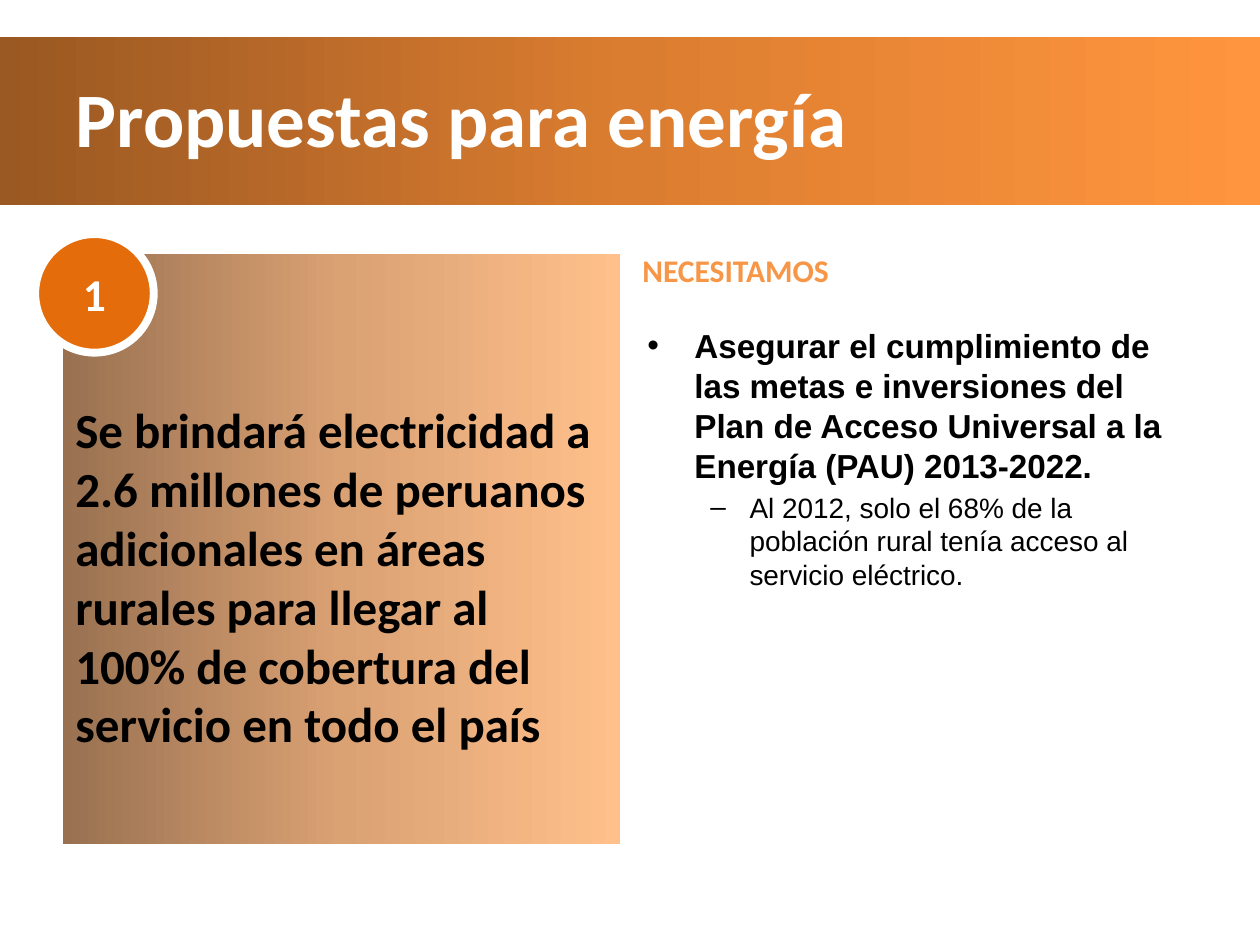
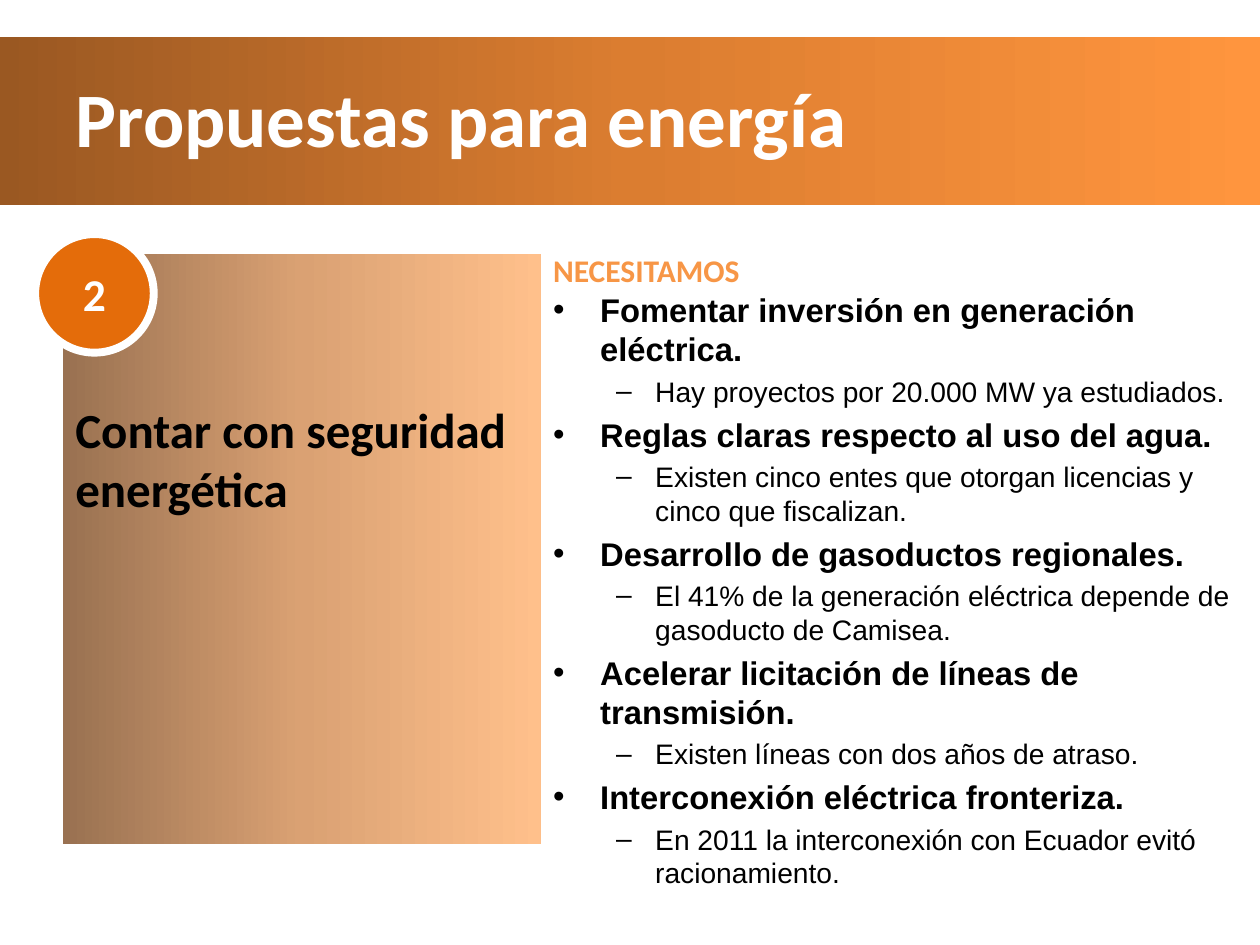
from copy import deepcopy
from lxml.etree import SubElement
from pptx import Presentation
from pptx.dml.color import RGBColor
from pptx.enum.shapes import MSO_SHAPE
from pptx.enum.text import MSO_ANCHOR, PP_ALIGN
from pptx.oxml.ns import qn
from pptx.util import Cm, Pt

TITLE = "Propuestas para energía"
LABEL = "NECESITAMOS"
SLIDES = [
    {
        "goal": "Se brindará electricidad a 2.6 millones de peruanos adicionales en áreas "
                "rurales para llegar al 100% de cobertura del servicio en todo el país",
        "panel_width": 11.23, "label_left": 12.7,
        "needs_box": (12.8, 6.43, 11.51, 9.88), "sizes": (19, 16),
        "needs": [
            ("Asegurar el cumplimiento de las metas e inversiones del Plan de Acceso "
             "Universal a la Energía (PAU) 2013-2022.",
             "Al 2012, solo el 68% de la población rural tenía acceso al servicio eléctrico."),
        ],
    },
    {
        "goal": "Contar con seguridad energética",
        "panel_width": 9.63, "label_left": 10.9,
        "needs_box": (10.9, 5.72, 14.5, 11.81), "sizes": (18.7, 16.1),
        "needs": [
            ("Fomentar inversión en generación eléctrica.",
             "Hay proyectos por 20.000 MW ya estudiados."),
            ("Reglas claras respecto al uso del agua.",
             "Existen cinco entes que otorgan licencias y cinco que fiscalizan."),
            ("Desarrollo de gasoductos regionales.",
             "El 41% de la generación eléctrica depende de gasoducto de Camisea."),
            ("Acelerar licitación de líneas de transmisión.",
             "Existen líneas con dos años de atraso."),
            ("Interconexión eléctrica fronteriza.",
             "En 2011 la interconexión con Ecuador evitó racionamiento."),
        ],
    },
]
BAND = ("9A5822", "DB7D30", "FF953E")
PANEL = ("997151", "DAA173", "FFC08B")
WHITE, BLACK, ORANGE, BADGE = "FFFFFF", "000000", "F79646", "E46C0A"
BULLETS = (("•", 0.95, 0.95), ("–", 2.06, 0.79))


def rgb(color):
    """Turn a hex string into a colour."""
    return RGBColor.from_string(color)


def write(p, text, size, font="Calibri", color=WHITE, bold=True, align=PP_ALIGN.LEFT):
    """Add formatted text to a paragraph."""
    p.alignment = align
    r = p.add_run()
    r.text = text
    r.font.size, r.font.name, r.font.bold = Pt(size), font, bold
    r.font.color.rgb = rgb(color)


def add_shape(s, kind, box):
    """Add a preset shape without shadow or outline."""
    sp = s.shapes.add_shape(kind, *map(Cm, box))
    sp.shadow.inherit = False
    sp.line.fill.background()
    return sp


def add_gradient(s, box, colors):
    """Add a rectangle with an even left-to-right gradient."""
    sp = add_shape(s, MSO_SHAPE.RECTANGLE, box)
    sp.fill.gradient()
    sp.fill.gradient_angle = 0
    stops = sp.element.spPr.find(".//" + qn("a:gsLst"))
    stops.insert(1, deepcopy(stops[0]))
    for i, (stop, color) in enumerate(zip(sp.fill.gradient_stops, colors)):
        stop.color.rgb = rgb(color)
        stop.position = i / (len(colors) - 1)
    return sp


def add_textbox(s, box):
    """Add a wrapping text box and return its frame."""
    tf = s.shapes.add_textbox(*map(Cm, box)).text_frame
    tf.word_wrap = True
    return tf


def set_bullet(p, char, indent, hang):
    """Give a paragraph a bullet with a hanging indent."""
    pPr = p._p.get_or_add_pPr()
    pPr.set("marL", str(Cm(indent)))
    pPr.set("indent", str(-Cm(hang)))
    SubElement(pPr, qn("a:buFont"), typeface="Arial")
    SubElement(pPr, qn("a:buChar"), char=char)


def add_needs(s, box, needs, sizes):
    """List each need with its supporting fact one level below."""
    tf = add_textbox(s, box)
    rows = [(level, text) for need in needs for level, text in enumerate(need)]
    for i, (level, text) in enumerate(rows):
        p = tf.add_paragraph() if i else tf.paragraphs[0]
        p.level = level
        p.space_before = Pt(round(sizes[level] * 0.2, 1))
        set_bullet(p, *BULLETS[level])
        write(p, text, sizes[level], font="Arial", color=BLACK, bold=level == 0)


def add_slide(prs, layout, number, content):
    """Build one proposal slide."""
    s = prs.slides.add_slide(layout)
    title = s.shapes.title
    title.left, title.top, title.width, title.height = map(Cm, (1.27, 0.76, 22.86, 3.18))
    title.text_frame.vertical_anchor = MSO_ANCHOR.MIDDLE
    write(title.text_frame.paragraphs[0], TITLE, 44)

    panel = add_gradient(s, (1.27, 5.13, content["panel_width"], 11.89), PANEL)
    tf = panel.text_frame
    tf.vertical_anchor, tf.margin_top = MSO_ANCHOR.TOP, Cm(2.93)
    write(tf.paragraphs[0], content["goal"], 28, color=BLACK)

    add_needs(s, content["needs_box"], content["needs"], content["sizes"])

    badge = add_shape(s, MSO_SHAPE.OVAL, (0.71, 4.72, 2.39, 2.39))
    badge.fill.solid()
    badge.fill.fore_color.rgb = rgb(BADGE)
    badge.line.color.rgb, badge.line.width = rgb(WHITE), Pt(4.5)
    write(badge.text_frame.paragraphs[0], str(number), 26, align=PP_ALIGN.CENTER)

    tf = add_textbox(s, (content["label_left"], 4.93, 6.2, 1.02))
    write(tf.paragraphs[0], LABEL, 18, color=ORANGE)
    return s


def main():
    """Build the deck, with the title band held by the layout."""
    prs = Presentation()
    prs.slide_width, prs.slide_height = Cm(25.4), Cm(19.05)
    layout = prs.slide_layouts[5]
    slides = [add_slide(prs, layout, n, content) for n, content in enumerate(SLIDES, 1)]
    band = add_gradient(slides[0], (0, 0.74, 25.4, 3.4), BAND)
    layout.shapes.element.insert(2, band.element)
    prs.save("out.pptx")


if __name__ == "__main__":
    main()
